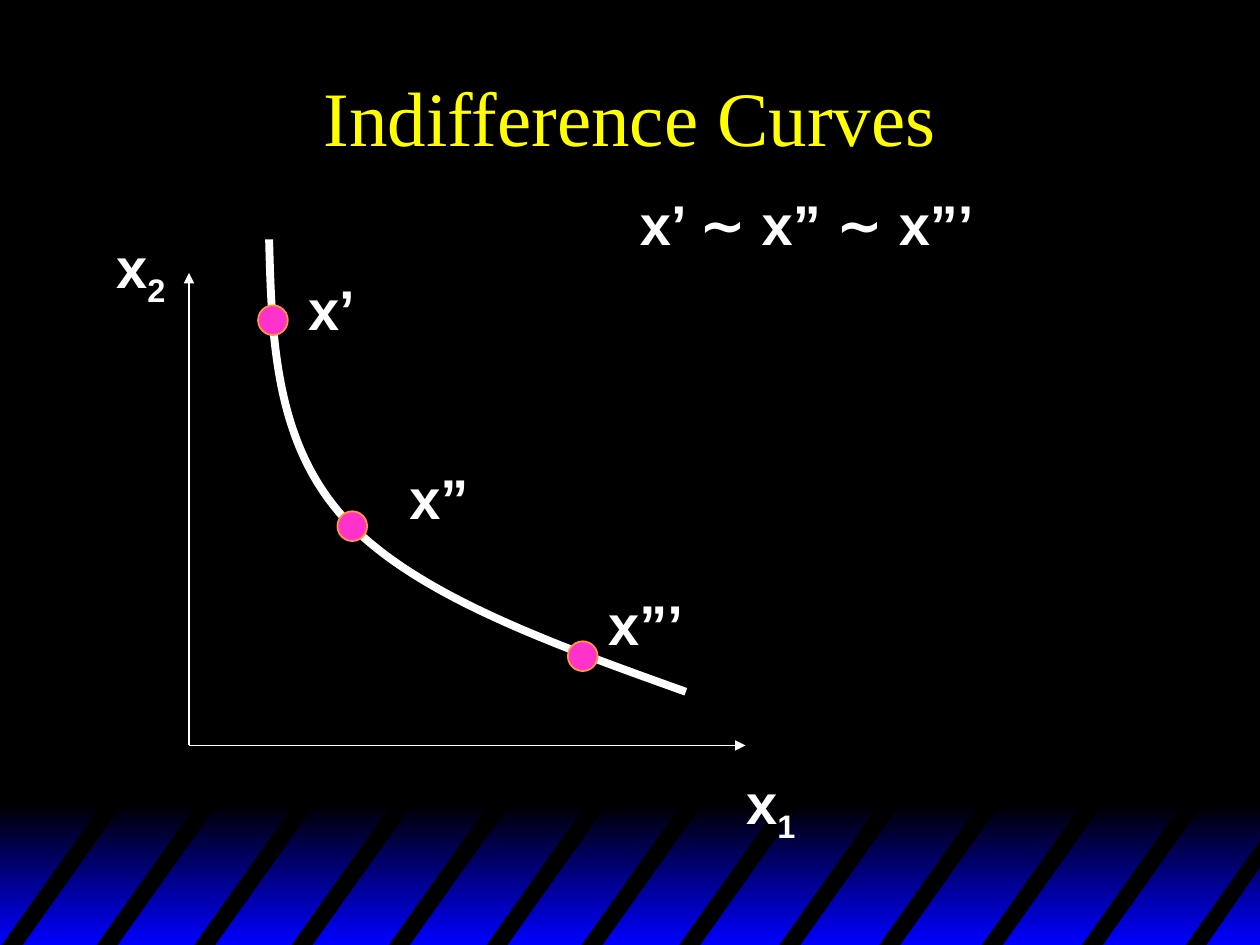
from dataclasses import dataclass

from lxml.etree import SubElement
from pptx import Presentation
from pptx.dml.color import RGBColor
from pptx.enum.shapes import MSO_CONNECTOR, MSO_SHAPE
from pptx.enum.text import MSO_ANCHOR, MSO_AUTO_SIZE, PP_ALIGN
from pptx.oxml.ns import qn
from pptx.util import Pt

COLORS = {
    "background": "000000",
    "band": "0000FF",
    "title": "FFFF00",
    "ink": "FFFFFF",
    "bundle": "FF33CC",
    "bundle_edge": "FF9933",
}


@dataclass
class Label:
    text: str
    left: float
    top: float
    width: float
    height: float = 45.2
    subscript: str = ""
    wrap: bool = False


@dataclass
class Bundle:
    center_x: float
    center_y: float


BAND_TOP, STRIPE_TOP, STRIPE_BOTTOM = 459.4, 456.5, 541.5
STRIPE_WIDTH, STRIPE_SLANT = 12, 60.3
STRIPE_LEFTS = [0, 54.2, 110, 165.6, 221.2, 277, 331.3, 387.1, 444.3, 501.4, 560, 617.2]
LAST_STRIPE = [(676.6, 541.5), (721.7, 478), (721.7, 493.4), (688.4, 541.5)]

ORIGIN = (108, 426)
AXIS_TIPS = [(108, 156), (426, 426)]

# Start point, then two control points and an end point per Bézier segment
CURVE = [
    (153.8, 136.8),
    (155.3, 195.1), (157.5, 253.4), (197.2, 296.6),
    (236.9, 339.8), (314.6, 367.6), (391.9, 395.3),
]
BUNDLE_SIZE = 17
BUNDLES = [Bundle(156, 183), Bundle(201.3, 300.7), Bundle(333, 375)]

LABELS = [
    Label("x", 59.3, 129.5, 42.5, 51.1, subscript="2"),
    Label("x", 419.3, 435.5, 42.5, 51.1, subscript="1"),
    Label("x”", 226.8, 261.5, 48.2),
    Label("x”’", 340.5, 333.5, 57.6),
    Label("x’ ∼ x” ∼ x”’", 358.6, 104.8, 263.5, 84.2, wrap=True),
    Label("x’", 169, 153.5, 41),
]


def color(name: str) -> RGBColor:
    return RGBColor.from_string(COLORS[name])


def add_outline(slide, points: list, close: bool):
    vertices = [(Pt(x), Pt(y)) for x, y in points]
    builder = slide.shapes.build_freeform(*vertices[0], scale=1.0)
    builder.add_line_segments(vertices[1:], close=close)
    shape = builder.convert_to_shape()
    shape.shadow.inherit = False
    return shape


def add_stripe(slide, points: list) -> None:
    shape = add_outline(slide, points, close=True)
    shape.fill.solid()
    shape.fill.fore_color.rgb = color("background")
    shape.line.fill.background()


def add_band(slide) -> None:
    band = slide.shapes.add_shape(
        MSO_SHAPE.RECTANGLE, 0, Pt(BAND_TOP), Pt(721.5), Pt(540 - BAND_TOP))
    band.shadow.inherit = False
    band.line.fill.background()
    band.fill.gradient()
    band.fill.gradient_angle = 270
    for stop, name, position in zip(band.fill.gradient_stops, ("background", "band"), (0, 1)):
        stop.color.rgb = color(name)
        stop.position = position
    for left in STRIPE_LEFTS:
        add_stripe(slide, [
            (left, STRIPE_BOTTOM),
            (left + STRIPE_SLANT, STRIPE_TOP),
            (left + STRIPE_SLANT + STRIPE_WIDTH, STRIPE_TOP),
            (left + STRIPE_WIDTH, STRIPE_BOTTOM),
        ])
    add_stripe(slide, LAST_STRIPE)


def format_title(slide, text: str) -> None:
    title = slide.shapes.title
    title.left, title.top, title.width, title.height = Pt(54), Pt(18), Pt(612), Pt(96)
    frame = title.text_frame
    frame.text = text
    frame.auto_size = MSO_AUTO_SIZE.NONE
    frame.vertical_anchor = MSO_ANCHOR.MIDDLE
    paragraph = frame.paragraphs[0]
    paragraph.alignment = PP_ALIGN.CENTER
    paragraph.font.name = "Times New Roman"
    paragraph.font.size = Pt(44)
    paragraph.font.color.rgb = color("title")


def add_axis(slide, tip: tuple) -> None:
    axis = slide.shapes.add_connector(
        MSO_CONNECTOR.STRAIGHT, *(Pt(value) for value in (*ORIGIN, *tip)))
    axis.line.color.rgb = color("ink")
    axis.line.width = Pt(1)
    SubElement(axis.line._get_or_add_ln(), qn("a:tailEnd"), type="triangle")
    SubElement(axis._element.spPr, qn("a:effectLst"))


def add_curve(slide) -> None:
    curve = add_outline(slide, CURVE, close=False)
    curve.fill.background()
    curve.line.color.rgb = color("ink")
    curve.line.width = Pt(4.5)
    # Gather every three straight segments into one Bézier segment
    path = curve._element.spPr.find(".//" + qn("a:path"))
    segments = path.findall(qn("a:lnTo"))
    for start in range(0, len(segments), 3):
        bezier = SubElement(path, qn("a:cubicBezTo"))
        for segment in segments[start:start + 3]:
            bezier.append(segment[0])
            path.remove(segment)


def add_bundle(slide, bundle: Bundle) -> None:
    dot = slide.shapes.add_shape(
        MSO_SHAPE.OVAL,
        Pt(bundle.center_x - BUNDLE_SIZE / 2), Pt(bundle.center_y - BUNDLE_SIZE / 2),
        Pt(BUNDLE_SIZE), Pt(BUNDLE_SIZE))
    dot.shadow.inherit = False
    dot.fill.solid()
    dot.fill.fore_color.rgb = color("bundle")
    dot.line.color.rgb = color("bundle_edge")
    dot.line.width = Pt(1)


def add_label(slide, label: Label) -> None:
    box = slide.shapes.add_textbox(
        Pt(label.left), Pt(label.top), Pt(label.width), Pt(label.height))
    frame = box.text_frame
    frame.word_wrap = label.wrap
    frame.auto_size = MSO_AUTO_SIZE.SHAPE_TO_FIT_TEXT
    paragraph = frame.paragraphs[0]
    paragraph.add_run().text = label.text
    if label.subscript:
        run = paragraph.add_run()
        run.text = label.subscript
        run._r.get_or_add_rPr().set("baseline", "-25000")
    paragraph.font.name = "Arial"
    paragraph.font.size = Pt(32)
    paragraph.font.bold = True
    paragraph.font.color.rgb = color("ink")


def main() -> None:
    presentation = Presentation()
    presentation.slide_width, presentation.slide_height = Pt(720), Pt(540)
    slide = presentation.slides.add_slide(presentation.slide_layouts[5])
    slide.background.fill.solid()
    slide.background.fill.fore_color.rgb = color("background")

    # Title and decorative band
    format_title(slide, "Indifference Curves")
    add_band(slide)

    # Diagram
    for tip in AXIS_TIPS:
        add_axis(slide, tip)
    add_curve(slide)
    for bundle in BUNDLES:
        add_bundle(slide, bundle)
    for label in LABELS:
        add_label(slide, label)

    presentation.save("out.pptx")


if __name__ == "__main__":
    main()
